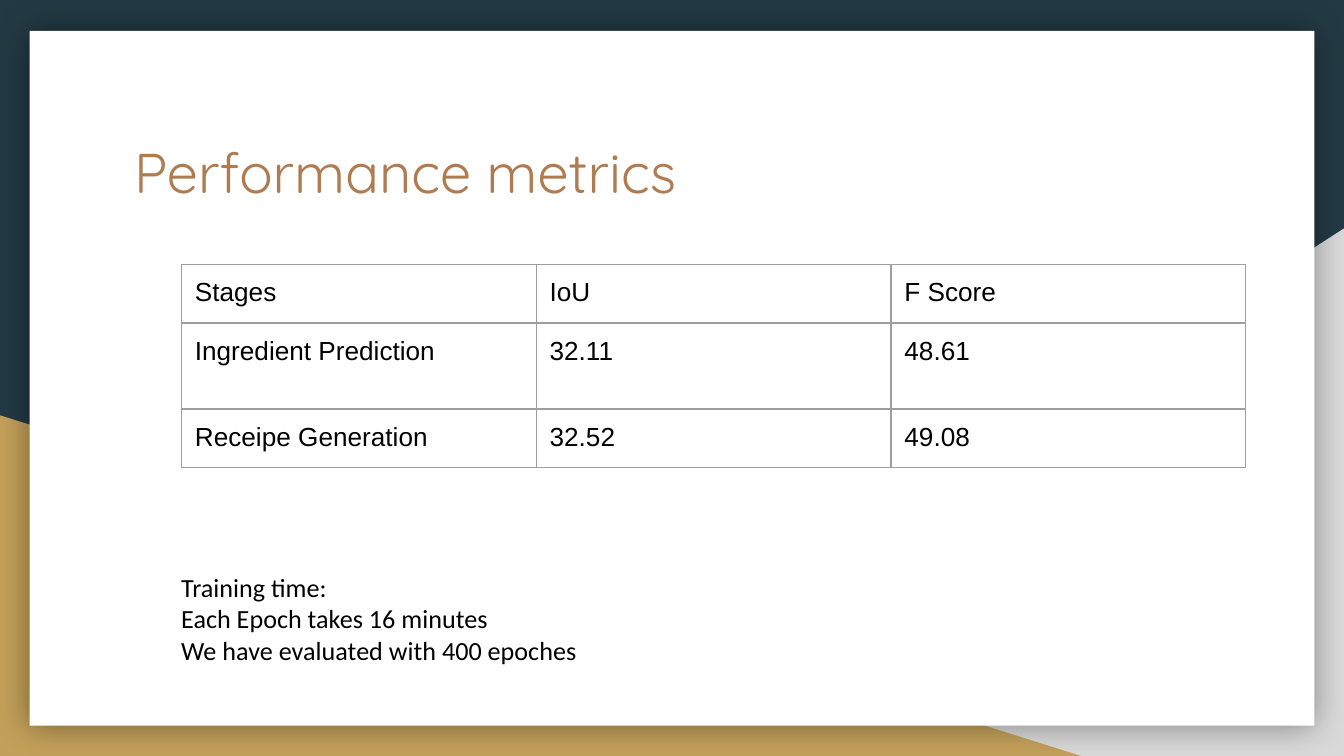
from dataclasses import dataclass

from lxml import etree
from pptx import Presentation
from pptx.dml.color import RGBColor
from pptx.enum.shapes import MSO_SHAPE
from pptx.enum.text import MSO_ANCHOR
from pptx.oxml.ns import qn
from pptx.util import Inches, Pt

RECTANGLE = MSO_SHAPE.RECTANGLE
RIGHT_TRIANGLE = MSO_SHAPE.RIGHT_TRIANGLE
TOP = MSO_ANCHOR.TOP


@dataclass(frozen=True)
class Theme:
    background: str = "233A44"
    gray: str = "D9D9D9"
    gold: str = "C4A15A"
    card: str = "FFFFFF"
    title: str = "AF7B51"
    text: str = "000000"
    border: str = "9E9E9E"
    title_font: str = "Quicksand"
    table_font: str = "Arial"
    note_font: str = "Calibri"
    title_size: int = 30
    body_size: int = 14
    border_width: float = 0.75
    inset: float = 0.1


class SlideBuilder:
    def __init__(self, slide, theme):
        self.slide = slide
        self.theme = theme
        fill = slide.background.fill
        fill.solid()
        fill.fore_color.rgb = RGBColor.from_string(theme.background)

    def shape(self, kind, box, color, mirrored=False):
        shape = self.slide.shapes.add_shape(kind, *map(Inches, box))
        shape.shadow.inherit = False
        shape.fill.solid()
        shape.fill.fore_color.rgb = RGBColor.from_string(color)
        shape.line.fill.background()
        if mirrored:
            shape.element.spPr.find(qn("a:xfrm")).set("flipH", "1")
        return shape

    def soft_shadow(self, shape, blur, opacity):
        effects = shape.element.spPr.find(qn("a:effectLst"))
        shadow = etree.SubElement(effects, qn("a:outerShdw"), blurRad=str(Pt(blur)),
                                  dist="0", dir="0", algn="ctr", rotWithShape="0")
        color = etree.SubElement(shadow, qn("a:srgbClr"), val=self.theme.text)
        etree.SubElement(color, qn("a:alpha"), val=str(opacity * 1000))

    def style_paragraph(self, paragraph, font_name, size, color):
        font = paragraph.font
        font.name = font_name
        font.size = Pt(size)
        font.bold = False
        font.color.rgb = RGBColor.from_string(color)

    def set_margins(self, target):
        target.margin_left = target.margin_right = Inches(self.theme.inset)
        target.margin_top = target.margin_bottom = Inches(self.theme.inset)

    def text(self, box, lines, font_name, size, color):
        frame = self.slide.shapes.add_textbox(*map(Inches, box)).text_frame
        frame.word_wrap = True
        frame.vertical_anchor = TOP
        self.set_margins(frame)
        frame.text = "\n".join(lines)
        for paragraph in frame.paragraphs:
            self.style_paragraph(paragraph, font_name, size, color)

    def cell_borders(self, cell):
        properties = cell._tc.get_or_add_tcPr()
        for side in ("lnL", "lnR", "lnT", "lnB"):
            line = etree.SubElement(properties, qn(f"a:{side}"),
                                    w=str(Pt(self.theme.border_width)))
            fill = etree.SubElement(line, qn("a:solidFill"))
            etree.SubElement(fill, qn("a:srgbClr"), val=self.theme.border)

    def table(self, left, top, column_width, row_heights, rows):
        box = (left, top, column_width * len(rows[0]), sum(row_heights))
        table = self.slide.shapes.add_table(
            len(rows), len(rows[0]), *map(Inches, box)).table
        table.first_row = False
        table.horz_banding = False
        for column in table.columns:
            column.width = Inches(column_width)
        for row, height, values in zip(table.rows, row_heights, rows):
            row.height = Inches(height)
            for cell, value in zip(row.cells, values):
                cell.text = value
                self.set_margins(cell)
                self.cell_borders(cell)
                cell.fill.background()
                self.style_paragraph(cell.text_frame.paragraphs[0], self.theme.table_font,
                                     self.theme.body_size, self.theme.text)


def main():
    presentation = Presentation()
    presentation.slide_width = Inches(10)
    presentation.slide_height = Inches(5.625)
    theme = Theme()
    slide = presentation.slides.add_slide(presentation.slide_layouts[6])
    builder = SlideBuilder(slide, theme)

    # Corner triangles behind the white card
    builder.shape(RIGHT_TRIANGLE, (3.92, 1.7, 6.08, 3.93), theme.gray, mirrored=True)
    builder.shape(RIGHT_TRIANGLE, (0, 3.09, 8.06, 2.54), theme.gold)
    card = builder.shape(RECTANGLE, (0.22, 0.23, 9.56, 5.17), theme.card)
    builder.soft_shadow(card, blur=18, opacity=40)

    # Title
    builder.text((0.9, 0.92, 8.21, 1.04), ["Performance metrics"],
                 theme.title_font, theme.title_size, theme.title)

    # Scores for each stage
    builder.table(1.35, 1.97, 2.64, (0.42, 0.64, 0.42), [
        ("Stages", "IoU", "F Score"),
        ("Ingredient Prediction", "32.11", "48.61"),
        ("Receipe Generation", "32.52", "49.08"),
    ])

    # Training note
    builder.text((1.25, 4.15, 6.33, 0.48), [
        "Training time:",
        "Each Epoch takes 16 minutes",
        "We have evaluated with 400 epoches",
    ], theme.note_font, theme.body_size, theme.text)

    presentation.save("out.pptx")


if __name__ == "__main__":
    main()
